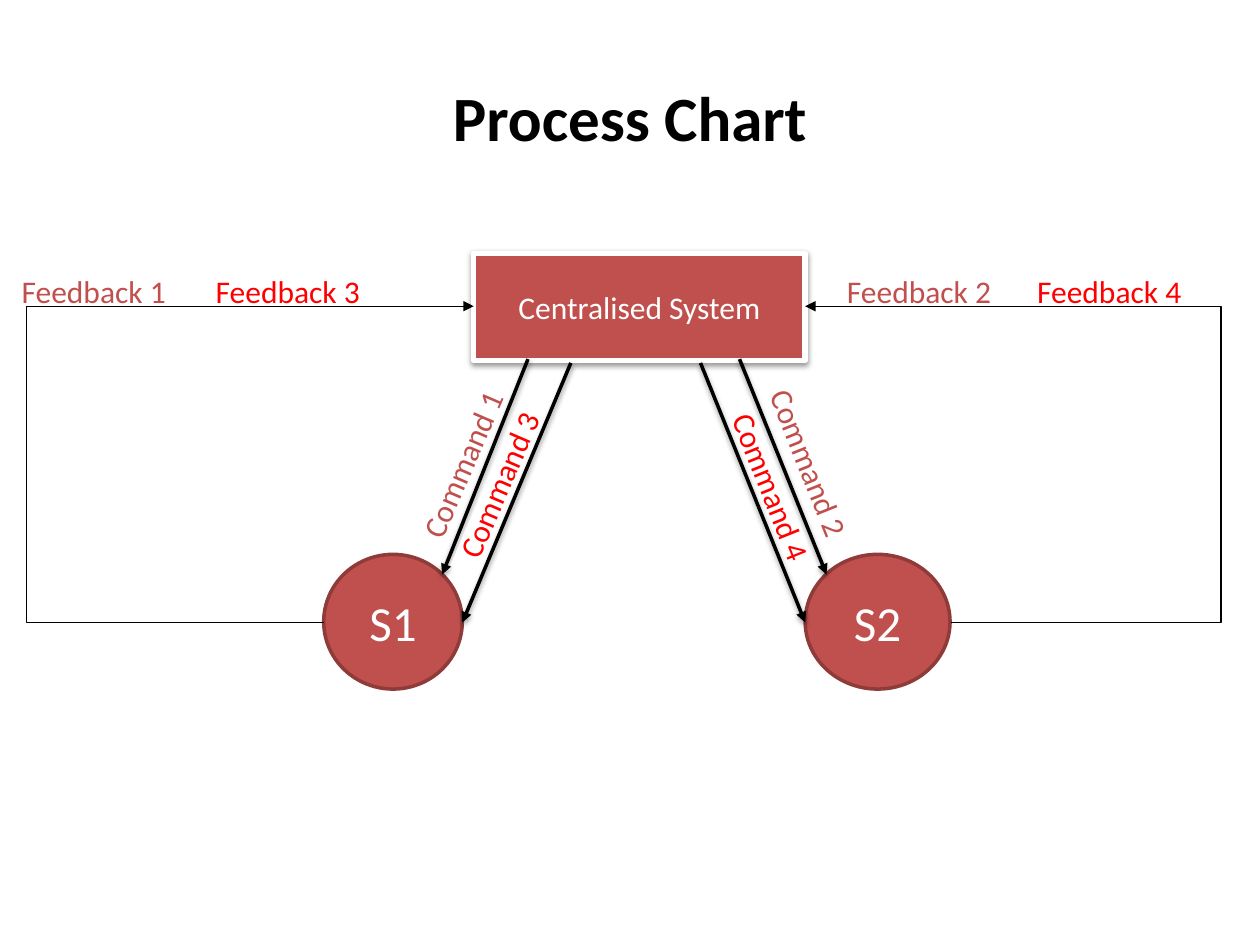
from lxml import etree
from pptx import Presentation
from pptx.dml.color import RGBColor
from pptx.enum.shapes import MSO_CONNECTOR, MSO_SHAPE
from pptx.enum.text import MSO_ANCHOR, PP_ALIGN
from pptx.oxml.ns import qn
from pptx.util import Pt

RECT, OVAL = MSO_SHAPE.RECTANGLE, MSO_SHAPE.OVAL
STRAIGHT, ELBOW = MSO_CONNECTOR.STRAIGHT, MSO_CONNECTOR.ELBOW
MIDDLE, CENTER = MSO_ANCHOR.MIDDLE, PP_ALIGN.CENTER
COLORS = {"brick": "C0504D", "edge": "8E3B39", "red": "FF0000",
          "white": "FFFFFF", "black": "000000"}


def rgb(name):
    """Return the palette colour called name."""
    return RGBColor.from_string(COLORS[name])


class Chart:
    """Holds the text style and the slide being drawn."""

    font = "Calibri"
    label_size = (105.84, 13.68)

    def __init__(self, slide):
        """Keep the slide that receives the elements."""
        self.s = slide

    def add_text(self, sp, text, size, color, bold=False):
        """Put one centred line of text in a shape."""
        tf = sp.text_frame
        tf.word_wrap, tf.vertical_anchor = True, MIDDLE
        p = tf.paragraphs[0]
        p.alignment = CENTER
        r = p.add_run()
        r.text = text
        r.font.color.rgb = rgb(color)
        style = {"name": self.font, "size": Pt(size), "bold": bold}
        for key, value in style.items():
            setattr(r.font, key, value)

    def effects(self, sp, shadow):
        """Set an effect list, with a soft drop shadow if asked for."""
        spPr = sp._element.spPr
        old = spPr.find(qn("a:effectLst"))
        effects = etree.SubElement(spPr, qn("a:effectLst")) if old is None else old
        if shadow:
            drop = etree.SubElement(effects, qn("a:outerShdw"), blurRad=str(Pt(3.1)),
                                    dist=str(Pt(1.6)), dir="5400000", rotWithShape="0")
            black = etree.SubElement(drop, qn("a:srgbClr"), val=COLORS["black"])
            etree.SubElement(black, qn("a:alpha"), val="38000")

    def title(self, text, box):
        """Add the heading."""
        sp = self.s.shapes.add_textbox(*map(Pt, box))
        self.add_text(sp, text, 36, "black", True)

    def node(self, kind, text, box, size, fill="brick", color="white",
             line=None, shadow=False):
        """Add a filled shape with text; line is (colour, width)."""
        sp = self.s.shapes.add_shape(kind, *map(Pt, box))
        sp.shadow.inherit = False
        sp.fill.solid()
        sp.fill.fore_color.rgb = rgb(fill)
        if line:
            sp.line.color.rgb, sp.line.width = rgb(line[0]), Pt(line[1])
        else:
            sp.line.fill.background()
        self.effects(sp, shadow)
        self.add_text(sp, text, size, color)
        return sp

    def label(self, text, left, top, color, angle=0):
        """Add a flow label, turned by angle."""
        sp = self.node(RECT, text, (left, top, *self.label_size), 18, "white", color)
        sp.rotation = angle

    def arrow(self, start, end, width, rail=None):
        """Add a straight arrow, or an elbow that runs along x = rail."""
        kind = STRAIGHT if rail is None else ELBOW
        sp = self.s.shapes.add_connector(kind, *map(Pt, start + end))
        sp.line.color.rgb, sp.line.width = rgb("black"), Pt(width)
        line = sp._element.spPr.find(qn("a:ln"))
        etree.SubElement(line, qn("a:tailEnd"), type="triangle")
        self.effects(sp, rail is None)
        if rail is not None:
            ratio = (rail - start[0]) / (end[0] - start[0])
            guides = next(sp._element.iter(qn("a:avLst")))
            etree.SubElement(guides, qn("a:gd"), name="adj1",
                             fmla=f"val {round(ratio * 100000)}")


prs = Presentation()
prs.slide_width, prs.slide_height = Pt(720), Pt(540)
chart = Chart(prs.slides.add_slide(prs.slide_layouts[6]))

chart.title("Process Chart", (36, 21.6, 648, 90))
chart.node(RECT, "Centralised System", (270.7, 144.7, 189.4, 61.2), 18,
           line=("white", 3), shadow=True)
for name, left, width in (("S1", 185, 79.2), ("S2", 460.1, 82.8)):
    chart.node(OVAL, name, (left, 316.8, width, 77), 28, line=("edge", 2))

UP, DOWN = 293.3, 68.2
BOX_Y, NODE_Y, FEEDBACK_Y = 175, 355.7, 159.1

# Per colour: commands (number, start, end, label corner, angle), feedback (number, left)
FLOWS = (
    ("brick",
     ((1, (301.7, 205.2), (252.7, 328.3), (211, 258.5), UP),
      (2, (422.6, 205.2), (472.3, 328.3), (409.7, 257.8), DOWN)),
     ((1, 0.7), (2, 472.3))),
    ("red",
     ((3, (326.2, 207.4), (264.2, NODE_Y), (231.8, 270), UP),
      (4, (400.3, 207.4), (460.1, NODE_Y), (388.1, 271.4), DOWN)),
     ((3, 111.6), (4, 581))),
)
for color, commands, feedback in FLOWS:
    for number, start, end, corner, angle in commands:
        chart.arrow(start, end, 2)
    for number, start, end, corner, angle in commands:
        chart.label(f"Command {number}", *corner, color, angle)
    for number, left in feedback:
        chart.label(f"Feedback {number}", left, FEEDBACK_Y, color)

for node_x, box_x, rail in ((185, 270.7, 15.1), (543.3, 460.1, 697.7)):
    chart.arrow((node_x, NODE_Y), (box_x, BOX_Y), 0.75, rail)

prs.save("out.pptx")
